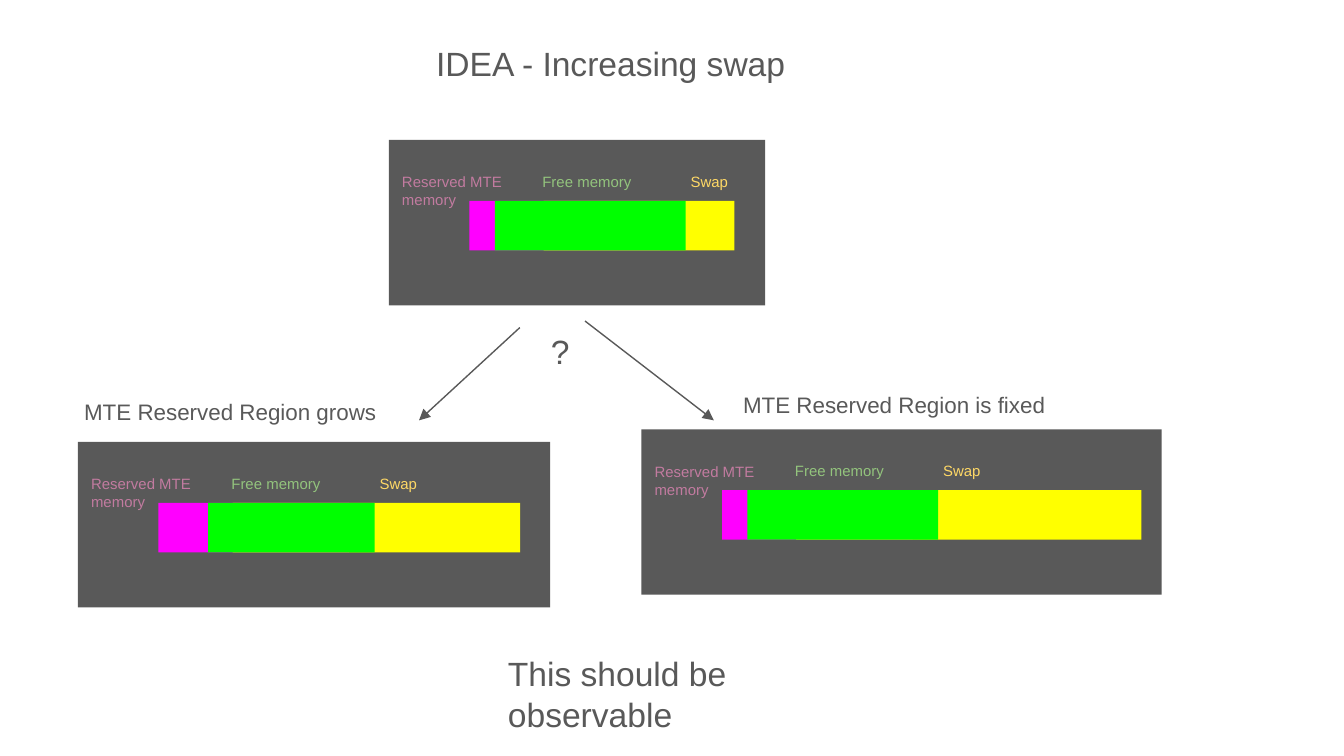
from lxml import etree
from pptx import Presentation
from pptx.dml.color import RGBColor
from pptx.enum.shapes import MSO_CONNECTOR, MSO_SHAPE
from pptx.enum.text import MSO_ANCHOR
from pptx.oxml.ns import qn
from pptx.util import Pt

COLORS = {
    "gray": "595959",
    "reserved": "FF00FF",
    "free": "00FF00",
    "swap": "FFFF00",
    "reserved_label": "C27BA0",
    "free_label": "93C47D",
    "swap_label": "FFD966",
}
FONT = "Arial"
INSET = 7.2
PANEL_HEIGHT = 88.6
BAR_TOP, BAR_HEIGHT = 32.6, 26.5
RESERVED_LEFT, RESERVED_WIDTH = 43.2, 102.2
SWAP_LEFT = 82.9


def color(name):
    return RGBColor.from_string(COLORS[name])


def add_block(slide, left, top, width, height, fill):
    shape = slide.shapes.add_shape(
        MSO_SHAPE.RECTANGLE, Pt(left), Pt(top), Pt(width), Pt(height))
    shape.shadow.inherit = False
    shape.fill.solid()
    shape.fill.fore_color.rgb = color(fill)
    shape.line.fill.background()


def add_text(slide, left, top, width, height, text, size, ink="gray"):
    box = slide.shapes.add_textbox(Pt(left), Pt(top), Pt(width), Pt(height))
    frame = box.text_frame
    frame.word_wrap = True
    frame.vertical_anchor = MSO_ANCHOR.TOP
    frame.margin_left = frame.margin_right = Pt(INSET)
    frame.margin_top = frame.margin_bottom = Pt(INSET)
    frame.text = text
    font = frame.paragraphs[0].runs[0].font
    font.name, font.size = FONT, Pt(size)
    font.color.rgb = color(ink)


def add_memory_panel(slide, left, top, width, free_left, free_width, swap_width):
    """Draw a panel whose free bar overlaps the reserved and swap bars."""
    add_block(slide, left, top, width, PANEL_HEIGHT, "gray")
    bars = [
        ("reserved", RESERVED_LEFT, RESERVED_WIDTH),
        ("swap", SWAP_LEFT, swap_width),
        ("free", free_left, free_width),
    ]
    for name, offset, bar_width in bars:
        add_block(slide, left + offset, top + BAR_TOP, bar_width, BAR_HEIGHT, name)
    labels = [
        ("Reserved MTE memory", 0, 10.5, 40.3, "reserved_label"),
        ("Free memory", 75.2, 12.4, 23, "free_label"),
        ("Swap", 154.6, 12.4, 23, "swap_label"),
    ]
    for text, offset, drop, height, ink in labels:
        add_text(slide, left + offset, top + drop, 79.2, height, text, 8, ink)


def add_arrow(slide, start, end):
    arrow = slide.shapes.add_connector(
        MSO_CONNECTOR.STRAIGHT, *(Pt(value) for value in start + end))
    arrow.line.color.rgb = color("gray")
    arrow.line.width = Pt(0.75)
    properties = arrow.line._get_or_add_ln()
    etree.SubElement(properties, qn("a:tailEnd"), type="triangle")
    etree.SubElement(arrow._element.spPr, qn("a:effectLst"))


def add_swap_slide(presentation):
    slide = presentation.slides.add_slide(presentation.slide_layouts[6])
    add_text(slide, 226.6, 15.8, 213, 40.3, "IDEA - Increasing swap", 18)

    add_memory_panel(slide, 208.3, 75, 201.6, 56.8, 102.2, 102.2)
    add_memory_panel(slide, 41.7, 236.8, 253, 69.8, 89.2, 154)
    add_memory_panel(slide, 343.6, 230, 278.8, 56.8, 102.2, 185)

    add_arrow(slide, (278.5, 175.5), (224.5, 225.2))
    add_arrow(slide, (313.4, 172), (382.4, 225.2))

    add_text(slide, 288, 169.9, 213.8, 36, "?", 18)
    add_text(slide, 38, 205.9, 213.8, 28.8, "MTE Reserved Region grows", 12)
    add_text(slide, 391, 202.3, 213.8, 28.8, "MTE Reserved Region is fixed", 12)
    add_text(slide, 265, 342.7, 145.4, 33.8, "This should be observable", 18)


def main():
    presentation = Presentation()
    presentation.slide_width, presentation.slide_height = Pt(720), Pt(405)
    add_swap_slide(presentation)
    presentation.save("out.pptx")


if __name__ == "__main__":
    main()
